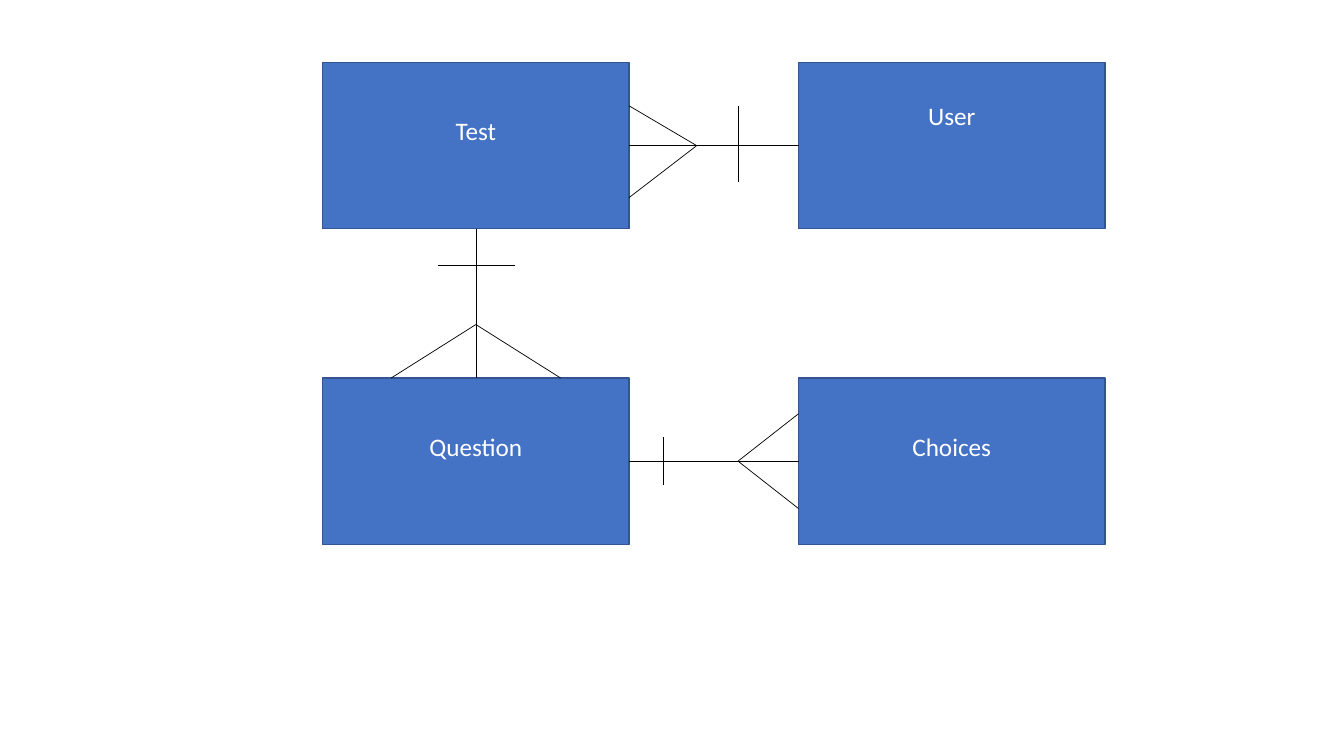
import pptx
import pptx.dml.color
import pptx.enum.shapes
import pptx.enum.text
import pptx.oxml.ns
import pptx.util
from lxml import etree

Inches = pptx.util.Inches
Pt = pptx.util.Pt

COLORS = {"box": "4472C4", "border": "325491", "line": "000000", "text": "FFFFFF"}
BOX_WIDTH, BOX_HEIGHT = 3.04, 1.65
LEFT_COLUMN, RIGHT_COLUMN = 3.2, 7.92
TOP_ROW, BOTTOM_ROW = 0.62, 3.75
TEXT_LINE = 0.3


def color(name):
    """Return the named colour."""
    return pptx.dml.color.RGBColor.from_string(COLORS[name])


class Diagram:
    """Entity diagram style on one slide."""

    def __init__(self, slide, font="Calibri", size=18):
        """Keep the slide and the text style."""
        self.slide = slide
        self.font = font
        self.size = Pt(size)

    def entity(self, name, left, top, raised_lines=1):
        """Draw an entity box, its name lifted by room for lines below it."""
        shape = self.slide.shapes.add_shape(
            pptx.enum.shapes.MSO_SHAPE.RECTANGLE,
            Inches(left), Inches(top), Inches(BOX_WIDTH), Inches(BOX_HEIGHT))
        shape.shadow.inherit = False
        shape.fill.solid()
        shape.fill.fore_color.rgb = color("box")
        shape.line.color.rgb = color("border")
        shape.line.width = Pt(1)
        frame = shape.text_frame
        frame.text = name
        frame.word_wrap = True
        frame.vertical_anchor = pptx.enum.text.MSO_ANCHOR.MIDDLE
        frame.margin_bottom = Inches(0.05 + raised_lines * TEXT_LINE)
        paragraph = frame.paragraphs[0]
        paragraph.alignment = pptx.enum.text.PP_ALIGN.CENTER
        font = paragraph.runs[0].font
        font.name, font.size = self.font, self.size
        font.color.rgb = color("text")

    def line(self, start, end):
        """Draw a thin straight line between two points."""
        connector = self.slide.shapes.add_connector(
            pptx.enum.shapes.MSO_CONNECTOR.STRAIGHT,
            *(Inches(value) for value in (*start, *end)))
        connector.line.color.rgb = color("line")
        connector.line.width = Pt(0.5)
        properties = connector._element.spPr
        etree.SubElement(properties, pptx.oxml.ns.qn("a:effectLst"))

    def relation(self, start, end, bar, fork, toes):
        """Draw a one-to-many link: stem, "one" bar and "many" crow's foot."""
        self.line(start, end)
        self.line(*bar)
        for toe in toes:
            self.line(fork, toe)


presentation = pptx.Presentation()
presentation.slide_width = Inches(13.33)
presentation.slide_height = Inches(7.5)
diagram = Diagram(presentation.slides.add_slide(presentation.slide_layouts[6]))

diagram.entity("Test", LEFT_COLUMN, TOP_ROW)
diagram.entity("User", RIGHT_COLUMN, TOP_ROW, raised_lines=2)
diagram.entity("Question", LEFT_COLUMN, BOTTOM_ROW)
diagram.entity("Choices", RIGHT_COLUMN, BOTTOM_ROW)

left_edge = LEFT_COLUMN + BOX_WIDTH
left_center = LEFT_COLUMN + BOX_WIDTH / 2
top_middle = TOP_ROW + BOX_HEIGHT / 2
bottom_middle = BOTTOM_ROW + BOX_HEIGHT / 2

# One user has many tests
diagram.relation((RIGHT_COLUMN, top_middle), (left_edge, top_middle),
                 bar=((7.32, 1.05), (7.32, 1.81)), fork=(6.91, top_middle),
                 toes=[(left_edge, 1.05), (left_edge, 1.96)])

# One test has many questions
diagram.relation((left_center, TOP_ROW + BOX_HEIGHT), (left_center, BOTTOM_ROW),
                 bar=((4.34, 2.63), (5.11, 2.63)), fork=(left_center, 3.22),
                 toes=[(left_center + side * 0.84, BOTTOM_ROW) for side in (-1, 1)])

# One question has many choices
diagram.relation((left_edge, bottom_middle), (RIGHT_COLUMN, bottom_middle),
                 bar=((6.58, 4.34), (6.58, 4.81)), fork=(7.32, bottom_middle),
                 toes=[(RIGHT_COLUMN, bottom_middle + side * 0.47) for side in (-1, 1)])

presentation.save("out.pptx")
